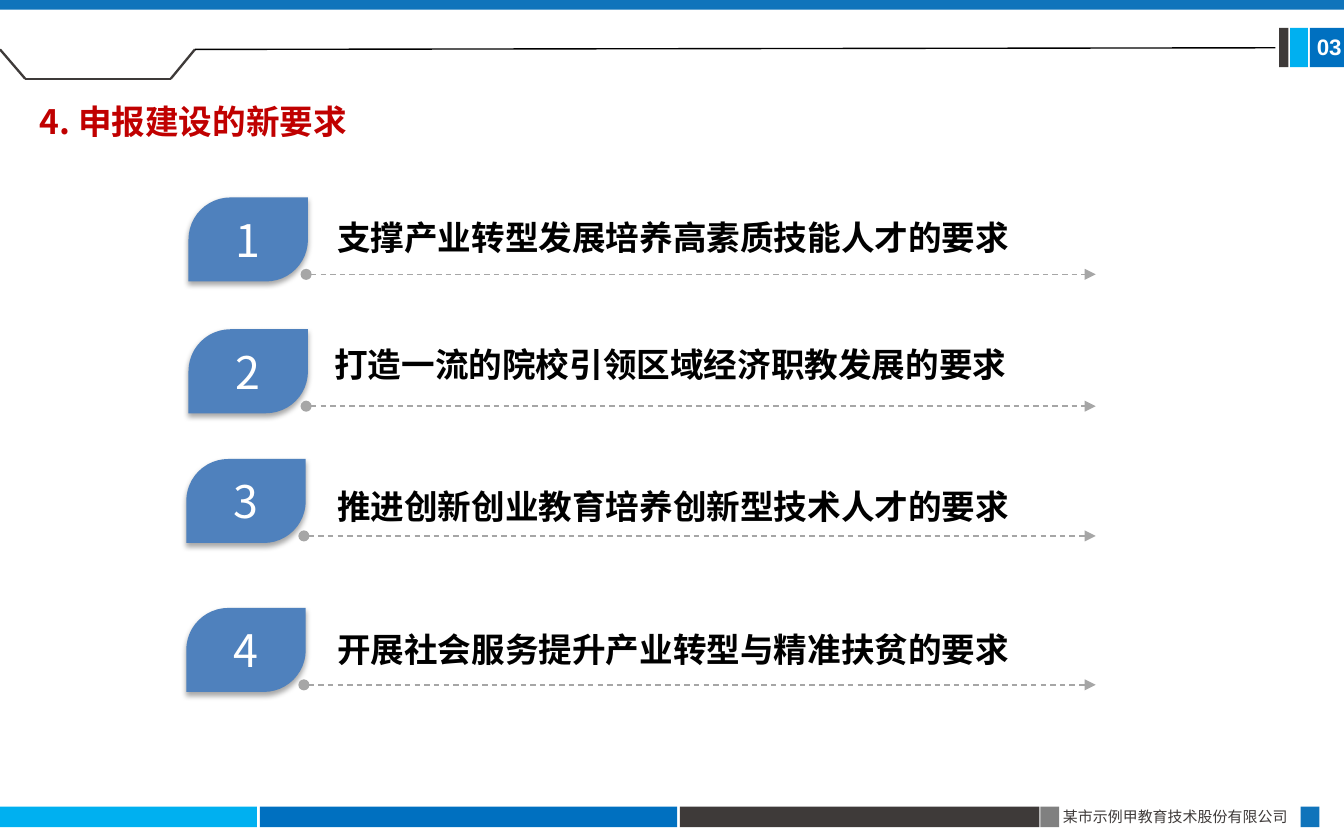
import pptx
import pptx.dml.color
import pptx.enum.dml
import pptx.enum.shapes
import pptx.enum.text
import pptx.oxml
import pptx.oxml.ns
import pptx.util

Pt = pptx.util.Pt
SHAPE = pptx.enum.shapes.MSO_SHAPE
ANCHOR = pptx.enum.text.MSO_ANCHOR
NS = pptx.oxml.ns.nsdecls("a")
qn = pptx.oxml.ns.qn
CJK = "Noto Sans CJK SC"


def paint(target, color):
    """Give a fill, line or font fill one solid hex colour."""
    target.solid()
    target.fore_color.rgb = pptx.dml.color.RGBColor.from_string(color)


def write(sp, text, size, color, bold=False, font=CJK):
    """Put one paragraph in a shape, with one font for Latin and CJK text."""
    tf = sp.text_frame
    tf.word_wrap = True
    p = tf.paragraphs[0]
    p.text = text
    p.font.size = Pt(size)
    p.font.bold = bold
    p.font.name = font
    paint(p.font.fill, color)
    latin = p._p.pPr.find(qn("a:defRPr")).find(qn("a:latin"))
    latin.addnext(pptx.oxml.parse_xml(f'<a:ea {NS} typeface="{font}"/>'))
    return p


prs = pptx.Presentation()
prs.slide_width, prs.slide_height = Pt(720), Pt(450)
s = prs.slides.add_slide(prs.slide_layouts[6])

# Bars: top edge, page-number block, footer
for x, y, w, h, color in [
    (0, 0, 720, 5.2, "1074BB"),
    (685.3, 15, 5, 21, "3E3A39"),
    (691.2, 15, 9.5, 21, "00B0F0"),
    (701.8, 15, 18.7, 21, "0070C0"),
    (0, 432.2, 137.7, 11, "00B0F0"),
    (139.2, 432.2, 223.6, 11, "0070C0"),
    (364.2, 432.2, 192.6, 11, "3E3A39"),
    (557.4, 432.2, 10, 11, "808080"),
    (696.8, 432.2, 10, 11, "1074BB"),
]:
    sp = s.shapes.add_shape(SHAPE.RECTANGLE, Pt(x), Pt(y), Pt(w), Pt(h))
    sp.shadow.inherit = False
    paint(sp.fill, color)
    sp.line.fill.background()

# Header rule with its notch, then the arrow under each item
items = [
    (101, 105.8, 173.5, 112.5, "支撑产业转型发展培养高素质技能人才的要求"),
    (101, 176.4, 172, 180.7, "打造一流的院校引领区域经济职教发展的要求"),
    (99.8, 245.9, 173.5, 256.5, "推进创新创业教育培养创新型技术人才的要求"),
    (99.8, 325.7, 173.5, 333.4, "开展社会服务提升产业转型与精准扶贫的要求"),
]
rules = [
    (0, 26.5, 13.5, 42.2, "3E3A39", 1.25, False),
    (13.5, 42.2, 91.5, 42.2, "3E3A39", 1.25, False),
    (91.5, 42.2, 104.4, 26.5, "3E3A39", 1.25, False),
    (104.4, 26.5, 683.3, 25.6, "000000", 0.75, False),
]
rules += [(x + 63, y + 41.2, 587, y + 41.2, "A6A6A6", 0.75, True)
          for x, y, *_ in items]

# Numbered leaves
for number, (x, y, *_) in enumerate(items, 1):
    sp = s.shapes.add_shape(SHAPE.ROUND_2_DIAG_RECTANGLE, Pt(x), Pt(y), Pt(64), Pt(45))
    sp.adjustments[0], sp.adjustments[1] = 0.5, 0
    paint(sp.fill, "4F81BD")
    sp.line.fill.background()
    sp._element.spPr.append(pptx.oxml.parse_xml(
        f'<a:effectLst {NS}><a:outerShdw blurRad="{Pt(3.1)}" dist="{Pt(1.8)}" '
        'dir="5400000" rotWithShape="0"><a:srgbClr val="000000">'
        '<a:alpha val="35000"/></a:srgbClr></a:outerShdw></a:effectLst>'))
    sp.text_frame.vertical_anchor = ANCHOR.MIDDLE
    p = write(sp, str(number), 24, "FFFFFF")
    p.alignment = pptx.enum.text.PP_ALIGN.CENTER

for x1, y1, x2, y2, color, width, arrow in rules:
    line = s.shapes.add_connector(pptx.enum.shapes.MSO_CONNECTOR.STRAIGHT,
                                  Pt(x1), Pt(y1), Pt(x2), Pt(y2))
    paint(line.line.fill, color)
    line.line.width = Pt(width)
    if arrow:
        line.line.dash_style = pptx.enum.dml.MSO_LINE.DASH
        ln = line.line._get_or_add_ln()
        ln.append(pptx.oxml.parse_xml(f'<a:headEnd {NS} type="oval"/>'))
        ln.append(pptx.oxml.parse_xml(f'<a:tailEnd {NS} type="triangle"/>'))
    line._element.spPr.append(pptx.oxml.parse_xml(f"<a:effectLst {NS}/>"))

# Item texts
for _, _, x, y, text in items:
    sp = s.shapes.add_textbox(Pt(x), Pt(y), Pt(510), Pt(29))
    write(sp, text, 18, "000000", bold=True)

# Title, footer and page number
sp = s.shapes.add_textbox(Pt(14.2), Pt(44), Pt(266), Pt(35))
p = write(sp, "4. 申报建设的新要求", 18, "C00000", bold=True)
p.line_spacing = 1.3

sp = s.shapes.add_textbox(Pt(562.3), Pt(429), Pt(140), Pt(17))
write(sp, "某市示例甲教育技术股份有限公司", 8, "3E3A39")

sp = s.shapes.add_textbox(Pt(700), Pt(15.2), Pt(27), Pt(20))
tf = sp.text_frame
tf.margin_left = tf.margin_right = Pt(5.4)
tf.margin_top = tf.margin_bottom = Pt(2.7)
write(sp, "03", 12, "FFFFFF", bold=True, font="Arial")

prs.save("out.pptx")
